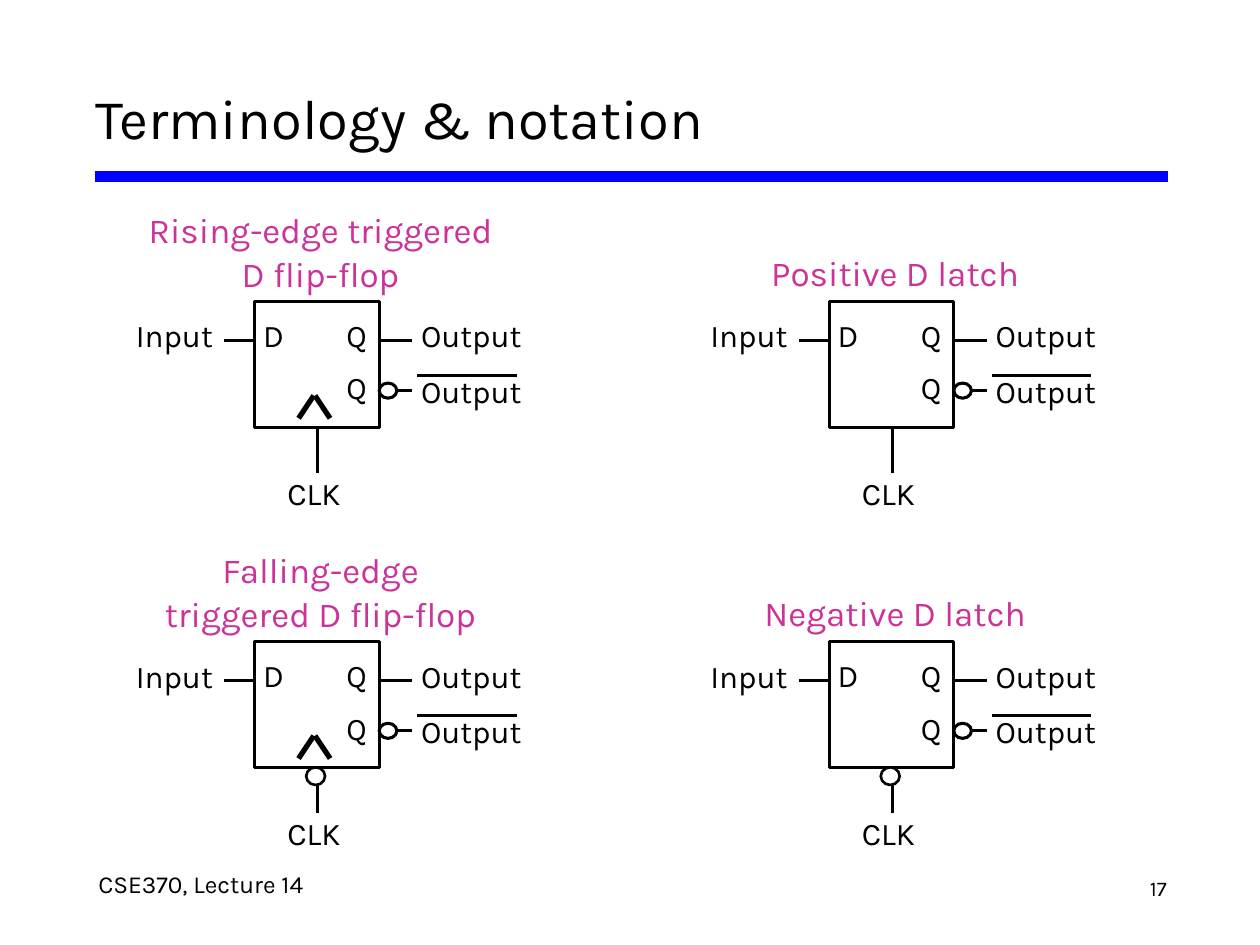
"""Build a slide showing the notation of four D storage elements."""
from dataclasses import dataclass

from lxml import etree
from pptx import Presentation
from pptx.dml.color import RGBColor
from pptx.enum.shapes import MSO_CONNECTOR, MSO_SHAPE
from pptx.enum.text import MSO_ANCHOR, MSO_AUTO_SIZE, PP_ALIGN
from pptx.oxml.ns import qn
from pptx.util import Inches, Pt

LEFT, MID, RIGHT = PP_ALIGN.LEFT, PP_ALIGN.CENTER, PP_ALIGN.RIGHT
RECT, OVAL = MSO_SHAPE.RECTANGLE, MSO_SHAPE.OVAL
STRAIGHT = MSO_CONNECTOR.STRAIGHT
GROW, FIXED = MSO_AUTO_SIZE.SHAPE_TO_FIT_TEXT, MSO_AUTO_SIZE.NONE
MIDDLE = MSO_ANCHOR.MIDDLE
FONT, BLACK, WHITE, BLUE, PINK = "Karla", "000000", "FFFFFF", "0000FF", "CC3399"


@dataclass
class Label:
    text: str
    x: float
    y: float
    w: float
    h: float
    align: PP_ALIGN = LEFT
    lead: float = 16
    size: float = 18
    inset: bool = True
    grow: bool = True


@dataclass
class Wire:
    x1: float
    y1: float
    x2: float
    y2: float
    width: float = 1.75


@dataclass
class Cell:
    name: str
    x: float
    y: float
    lines: int
    edge: bool
    low: bool


COLS, ROWS = (2.02, 6.58), (2.39, 5.09)
CELLS = [
    Cell("Rising-edge triggered D flip-flop", COLS[0], ROWS[0], 2, True, False),
    Cell("Positive D latch", COLS[1], ROWS[0], 1, False, False),
    Cell("Falling-edge triggered D flip-flop", COLS[0], ROWS[1], 2, True, True),
    Cell("Negative D latch", COLS[1], ROWS[1], 1, False, True),
]
LABELS = [
    Label("D", 0.06, 0.22, 0.18, 0.19, MID, 14, inset=False),
    Label("Q", 0.71, 0.22, 0.2, 0.19, MID, 14, inset=False),
    Label("Q", 0.71, 0.64, 0.2, 0.19, MID, 14, inset=False),
    Label("Input", -0.99, 0.16, 0.68, 0.29, RIGHT, 16.7),
    Label("Output", 1.26, 0.16, 0.88, 0.29, RIGHT, 16.7),
    Label("Output", 1.26, 0.6, 0.88, 0.29, RIGHT, 16.7),
    Label("CLK", 0.24, 1.42, 0.78, 0.41, grow=False),
]
WIRES = [
    Wire(-0.24, 0.31, 0.01, 0.31),
    Wire(1, 0.31, 1.25, 0.31),
    Wire(1, 0.71, 1.25, 0.71),
    Wire(0.5, 1.01, 0.5, 1.36),
    Wire(1.29, 0.59, 2.08, 0.59, 1.5),
]
CARET = [Wire(0.35, 0.93, 0.47, 0.75, 3), Wire(0.48, 0.75, 0.6, 0.93, 3)]


def paint(hue: str) -> RGBColor:
    """Turn a hex string into a colour."""
    return RGBColor.from_string(hue)


def style(para, size: float, hue: str, align: PP_ALIGN) -> None:
    """Format a paragraph and its runs."""
    para.alignment = align
    for run in para.runs:
        run.font.name = FONT
        run.font.size = Pt(size)
        run.font.color.rgb = paint(hue)


def write(slide, label: Label, x: float = 0, y: float = 0):
    """Add a one-line label shifted by x and y."""
    box = slide.shapes.add_textbox(
        Inches(x + label.x), Inches(y + label.y), Inches(label.w), Inches(label.h))
    frame = box.text_frame
    frame.text = label.text
    frame.word_wrap = False
    frame.auto_size = GROW if label.grow else FIXED
    frame.margin_left = frame.margin_right = Inches(0.02 if label.inset else 0)
    frame.margin_top = frame.margin_bottom = Inches(0.03 if label.inset else 0)
    para = frame.paragraphs[0]
    para.line_spacing = Pt(label.lead)
    style(para, label.size, BLACK, label.align)
    return frame


def draw(slide, wire: Wire, x: float = 0, y: float = 0, hue: str = BLACK) -> None:
    """Add a straight line shifted by x and y."""
    line = slide.shapes.add_connector(
        STRAIGHT, Inches(x + wire.x1), Inches(y + wire.y1),
        Inches(x + wire.x2), Inches(y + wire.y2))
    line.line.color.rgb = paint(hue)
    line.line.width = Pt(wire.width)
    etree.SubElement(line._element.spPr, qn("a:effectLst"))


def block(slide, kind: MSO_SHAPE, x: float, y: float, w: float, h: float,
          width: float = 1.75) -> None:
    """Add a white shape with a black outline."""
    shape = slide.shapes.add_shape(kind, Inches(x), Inches(y), Inches(w), Inches(h))
    shape.shadow.inherit = False
    shape.fill.solid()
    shape.fill.fore_color.rgb = paint(WHITE)
    shape.line.color.rgb = paint(BLACK)
    shape.line.width = Pt(width)


def head(slide, cell: Cell) -> None:
    """Add the wrapped pink heading above a cell."""
    rise, high = (0.78, 0.76) if cell.lines == 2 else (0.44, 0.41)
    frame = write(slide, Label(cell.name, -0.87, -rise, 2.79, high), cell.x, cell.y)
    frame.word_wrap = True
    para = frame.paragraphs[0]
    para.line_spacing = 1.05
    style(para, 20, PINK, MID)


def build(slide, cell: Cell) -> None:
    """Draw one storage element with its pins."""
    x, y = cell.x, cell.y
    block(slide, RECT, x, y, 0.99, 1)
    for wire in WIRES + (CARET if cell.edge else []):
        draw(slide, wire, x, y)
    block(slide, OVAL, x + 0.99, y + 0.65, 0.14, 0.12)
    if cell.low:
        block(slide, OVAL, x + 0.41, y + 1, 0.15, 0.14, 1.5)
    for label in LABELS:
        write(slide, label, x, y)
    head(slide, cell)


def main() -> None:
    """Build and save the slide."""
    deck = Presentation()
    deck.slide_width, deck.slide_height = Inches(10), Inches(7.5)
    slide = deck.slides.add_slide(deck.slide_layouts[5])
    title = slide.shapes.title
    title.left, title.top = Inches(0.66), Inches(0.52)
    title.width, title.height = Inches(8.68), Inches(0.82)
    frame = title.text_frame
    frame.text = "Terminology & notation"
    frame.auto_size = FIXED
    frame.vertical_anchor = MIDDLE
    style(frame.paragraphs[0], 32, BLACK, LEFT)
    draw(slide, Wire(0.75, 1.4, 9.27, 1.4, 6), hue=BLUE)
    for cell in CELLS:
        build(slide, cell)
    write(slide, Label("CSE370, Lecture 14", 0.76, 6.88, 3.71, 0.37, size=14, grow=False))
    write(slide, Label("17", 8.89, 6.9, 0.39, 0.36, RIGHT, size=12, grow=False))
    deck.save("out.pptx")


if __name__ == "__main__":
    main()
